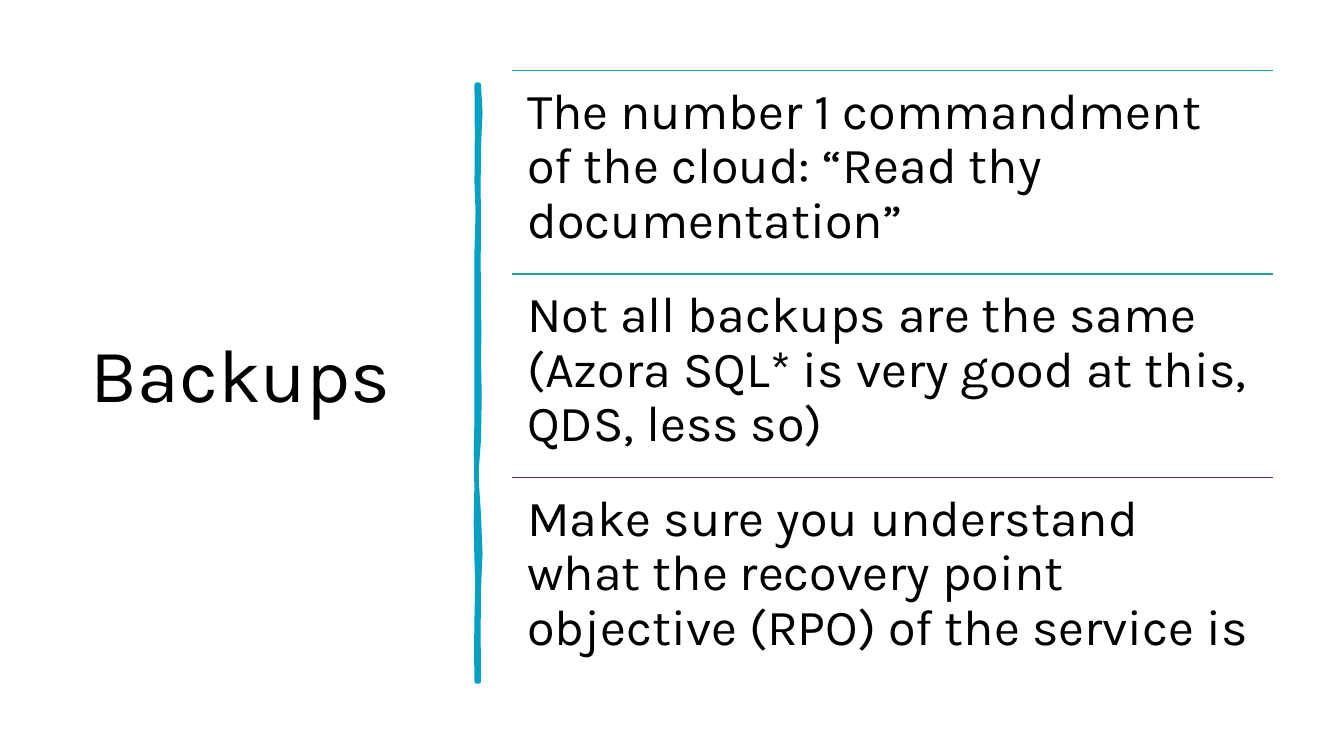
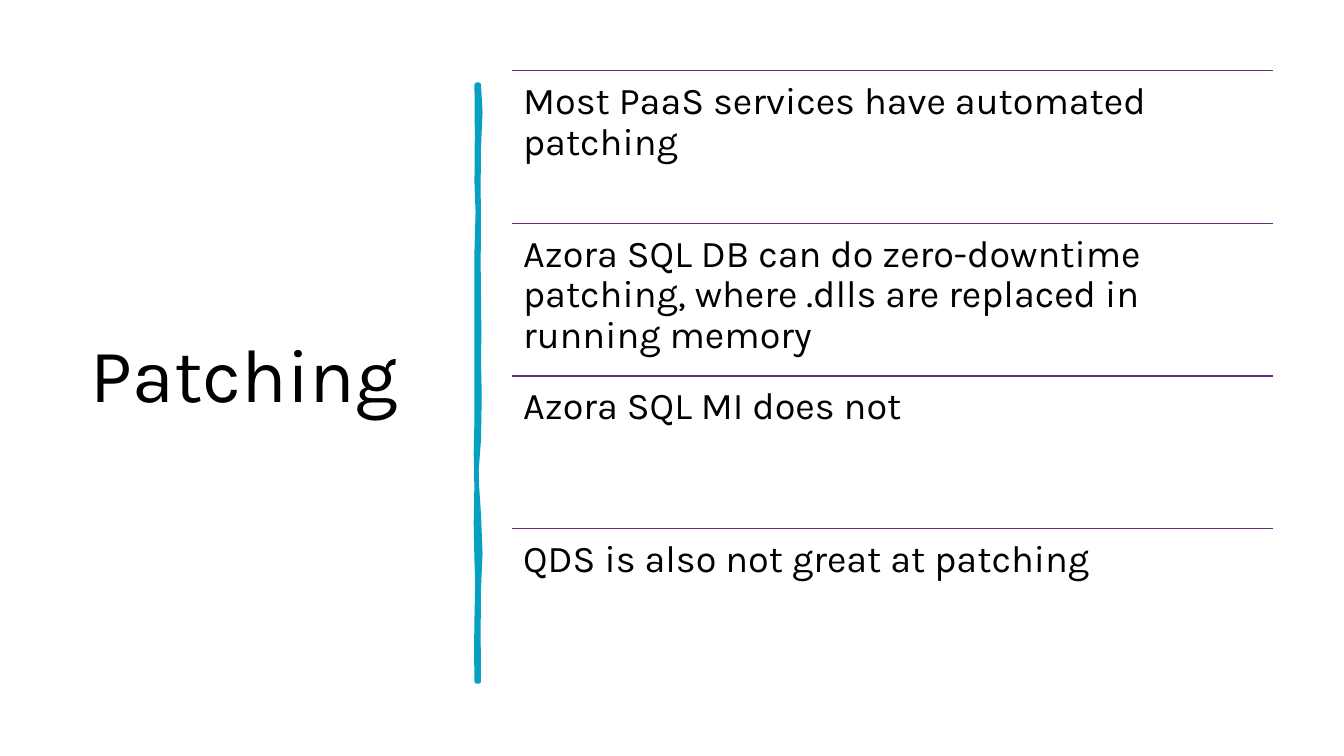
import pptx
import pptx.dml.color
import pptx.enum.shapes
import pptx.enum.text
import pptx.oxml.ns
import pptx.util
from lxml import etree

# Content: title, text size, inset in px, rows of (rule colour, text)
TEAL, GREEN, PURPLE, BLACK = "06A0C3", "1CA69A", "632F79", "000000"
FONT = "Karla"
SLIDES = [
    ("Backups", 36, 15, [
        (TEAL, "The number 1 commandment of the cloud: “Read thy documentation”"),
        (GREEN, "Not all backups are the same (Azora SQL* is very good at this, QDS, less so)"),
        (PURPLE, "Make sure you understand what the recovery point objective (RPO) of the service is"),
    ]),
    ("Patching", 27, 11, [
        (PURPLE, "Most PaaS services have automated patching"),
        (PURPLE, "Azora SQL DB can do zero-downtime patching, where .dlls are replaced in running memory"),
        (PURPLE, "Azora SQL MI does not"),
        (PURPLE, "QDS is also not great at patching"),
    ]),
]

# Layout in px, 100 to the inch
PX = 9144
SLIDE_SIZE = (4000 / 3, 750)
TITLE_BOX = (70, 70, 374, 609)
TITLE_SIZE = 54
LIST_LEFT, LIST_TOP, LIST_WIDTH, LIST_HEIGHT = 508, 70, 755, 606

# Brush stroke: start point, then Bézier curves (two controls and an end)
BRUSH_START = (475, 84)
BRUSH_CURVES = [
    # right edge, downwards
    ((477, 102), (477, 119), (475, 146)), ((473, 173), (476, 195), (475, 226)),
    ((474, 257), (475, 262), (475, 294)), ((474, 325), (477, 342), (475, 356)),
    ((473, 370), (479, 414), (475, 436)), ((471, 457), (472, 484), (475, 510)),
    ((477, 536), (477, 564), (475, 584)), ((473, 603), (476, 650), (475, 676)),
    ((474, 676), (473, 676), (473, 676)),
    # left edge, upwards
    ((474, 646), (471, 644), (473, 613)), ((474, 583), (474, 570), (473, 557)),
    ((472, 544), (472, 495), (473, 477)), ((473, 459), (471, 445), (473, 415)),
    ((474, 386), (472, 373), (473, 335)), ((474, 298), (472, 281), (473, 250)),
    ((474, 218), (475, 200), (473, 181)), ((470, 163), (477, 104), (473, 84)),
]
CURVE_STEPS = 2


def px(value):
    return pptx.util.Emu(round(value * PX))


def rgb(color):
    return pptx.dml.color.RGBColor.from_string(color)


def write(shape, text, size, inset_x, inset_y, anchor):
    """Put one left-aligned paragraph into a shape."""
    frame = shape.text_frame
    frame.word_wrap = True
    frame.auto_size = pptx.enum.text.MSO_AUTO_SIZE.NONE
    frame.vertical_anchor = anchor
    frame.margin_left = frame.margin_right = px(inset_x)
    frame.margin_top = frame.margin_bottom = px(inset_y)
    frame.text = text
    paragraph = frame.paragraphs[0]
    paragraph.alignment = pptx.enum.text.PP_ALIGN.LEFT
    paragraph.line_spacing = 0.9
    font = paragraph.runs[0].font
    font.name, font.size = FONT, pptx.util.Pt(size)
    font.color.rgb = rgb(BLACK)
    return paragraph


def add_title(slide, text):
    title = slide.shapes.title
    title.left, title.top, title.width, title.height = map(px, TITLE_BOX)
    paragraph = write(title, text, TITLE_SIZE, 10, 5, pptx.enum.text.MSO_ANCHOR.MIDDLE)
    paragraph._p.get_or_add_pPr().set("marL", str(px(10)))


def brush_points():
    """Trace each curve in a few straight steps."""
    start = BRUSH_START
    for first, second, end in BRUSH_CURVES:
        for step in range(1, CURVE_STEPS + 1):
            t = step / CURVE_STEPS
            weights = ((1 - t) ** 3, 3 * t * (1 - t) ** 2, 3 * t * t * (1 - t), t ** 3)
            corners = (start, first, second, end)
            yield tuple(px(sum(w * corner[axis] for w, corner in zip(weights, corners)))
                        for axis in (0, 1))
        start = end


def add_brush(slide):
    builder = slide.shapes.build_freeform(*map(px, BRUSH_START))
    builder.add_line_segments(list(brush_points()), close=True)
    brush = builder.convert_to_shape()
    brush.shadow.inherit = False
    brush.fill.solid()
    brush.fill.fore_color.rgb = rgb(TEAL)
    brush.line.color.rgb = rgb(TEAL)
    brush.line.width = pptx.util.Pt(3.25)
    etree.SubElement(brush.line._get_or_add_ln(), pptx.oxml.ns.qn("a:round"))


def add_rule(slide, top, color):
    rule = slide.shapes.add_connector(
        pptx.enum.shapes.MSO_CONNECTOR.STRAIGHT,
        px(LIST_LEFT), px(top), px(LIST_LEFT + LIST_WIDTH), px(top))
    rule.line.color.rgb = rgb(color)
    rule.line.width = pptx.util.Pt(1)
    etree.SubElement(rule._element.spPr, pptx.oxml.ns.qn("a:effectLst"))


def add_list(slide, size, inset, rows):
    """Share the list height equally, with a rule above each row."""
    row_height = LIST_HEIGHT / len(rows)
    for index, (color, text) in enumerate(rows):
        top = LIST_TOP + index * row_height
        add_rule(slide, top, color)
        box = slide.shapes.add_textbox(px(LIST_LEFT), px(top), px(LIST_WIDTH), px(row_height))
        write(box, text, size, inset, inset, pptx.enum.text.MSO_ANCHOR.TOP)


def main():
    presentation = pptx.Presentation()
    presentation.slide_width, presentation.slide_height = map(px, SLIDE_SIZE)
    for title, size, inset, rows in SLIDES:
        slide = presentation.slides.add_slide(presentation.slide_layouts[5])
        add_title(slide, title)
        add_brush(slide)
        add_list(slide, size, inset, rows)
    presentation.save("out.pptx")


if __name__ == "__main__":
    main()
